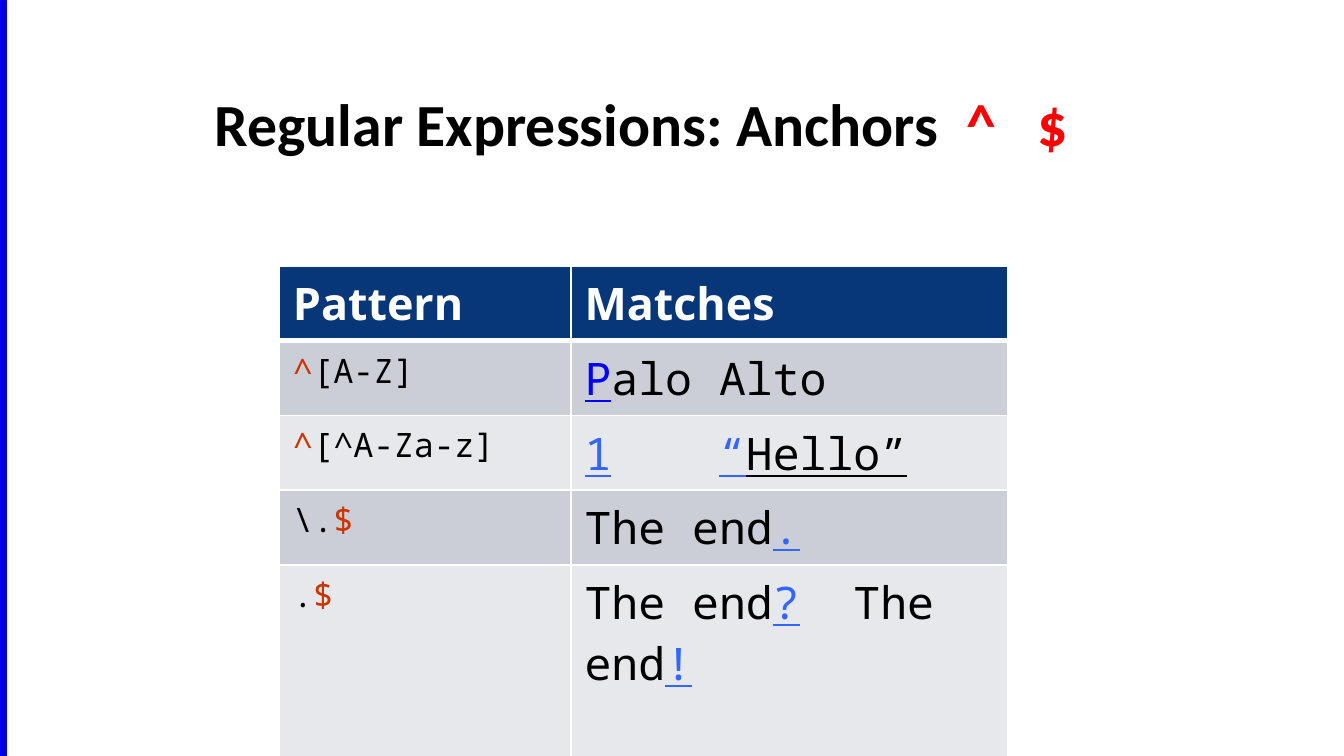
from dataclasses import dataclass

from lxml.etree import SubElement
from pptx import Presentation
from pptx.dml.color import RGBColor
from pptx.enum.shapes import MSO_SHAPE
from pptx.enum.text import MSO_ANCHOR
from pptx.oxml.ns import qn
from pptx.util import Inches, Pt

WIDE = 10
HIGH = WIDE * 9 / 16


@dataclass(frozen=True)
class Theme:
    black: str = "000000"
    white: str = "FFFFFF"
    red: str = "FF0000"
    rust: str = "CC3300"
    blue: str = "0000FF"
    sky: str = "3366FF"
    bar: str = "0000C9"
    head: str = "073779"
    bands: tuple = ("CCCED7", "E7E8EC")
    sans: str = "Open Sans"
    mono: str = "Noto Sans Mono"
    title: str = "Calibri"
    big: int = 32
    mid: int = 24
    small: int = 18


@dataclass(frozen=True)
class Part:
    text: str
    color: str = Theme.black
    under: bool = False


@dataclass(frozen=True)
class Row:
    pattern: list
    match: list
    tabs: tuple = ()


def write(frame, parts: list, face: str, size: int,
          bold: bool = False, tabs: tuple = ()) -> None:
    """Fill the first paragraph with coloured parts; tabs are in inches."""
    para = frame.paragraphs[0]
    if tabs:
        stops = SubElement(para._p.get_or_add_pPr(), qn("a:tabLst"))
        for stop in tabs:
            SubElement(stops, qn("a:tab"), pos=str(Inches(stop)), algn="l")
    para.font.name = face
    para.font.size = Pt(size)
    para.font.bold = bold
    for part in parts:
        run = para.add_run()
        run.text = part.text
        run.font.color.rgb = RGBColor.from_string(part.color)
        if part.under:
            run.font.underline = True


def paint(cell, color: str, base: int = 1) -> None:
    """Fill a cell and give it white borders; base is the lower one."""
    props = cell._tc.get_or_add_tcPr()
    for side, width in (("L", 1), ("R", 1), ("T", 1), ("B", base)):
        line = SubElement(props, qn(f"a:ln{side}"), w=str(Pt(width)))
        fill = SubElement(line, qn("a:solidFill"))
        SubElement(fill, qn("a:srgbClr"), val=Theme.white)
    cell.fill.solid()
    cell.fill.fore_color.rgb = RGBColor.from_string(color)


def add_bar(slide) -> None:
    bar = slide.shapes.add_shape(
        MSO_SHAPE.RECTANGLE, 0, 0, Inches(0.05), Inches(HIGH))
    bar.shadow.inherit = False
    bar.fill.solid()
    bar.fill.fore_color.rgb = RGBColor.from_string(Theme.bar)
    bar.line.color.rgb = RGBColor.from_string(Theme.blue)
    bar.line.width = Pt(0.75)


def add_title(slide) -> None:
    box = slide.shapes.add_textbox(
        Inches(1.5), Inches(0.42), Inches(8.17), Inches(0.81))
    frame = box.text_frame
    frame.word_wrap = True
    frame.vertical_anchor = MSO_ANCHOR.BOTTOM
    parts = [Part("Regular Expressions: Anchors"), Part("\t^\t$", Theme.red)]
    write(frame, parts, Theme.title, Theme.big, True, (5.59, 6.12))


def add_grid(slide, rows: list) -> None:
    wide, tall, last = (2.17, 3.25), 5 / 9, 1.44
    count = len(rows) + 1
    grid = slide.shapes.add_table(
        count, 2, Inches(2.08), Inches(1.98),
        Inches(sum(wide)), Inches(tall * (count - 1) + last)).table
    for col, width in zip(grid.columns, wide):
        col.width = Inches(width)
    for line in grid.rows:
        line.height = Inches(tall)
    grid.rows[count - 1].height = Inches(last)

    # Header
    for col, label in enumerate(("Pattern", "Matches")):
        cell = grid.cell(0, col)
        paint(cell, Theme.head, 3)
        write(cell.text_frame, [Part(label, Theme.white)],
              Theme.sans, Theme.mid, True)

    # Body
    for num, row in enumerate(rows):
        left, right = grid.cell(num + 1, 0), grid.cell(num + 1, 1)
        for cell in (left, right):
            paint(cell, Theme.bands[num % 2], 1)
        write(left.text_frame, row.pattern, Theme.mono, Theme.small)
        write(right.text_frame, row.match, Theme.mono, Theme.mid,
              tabs=row.tabs)


ROWS = [
    Row([Part("^", Theme.rust), Part("[A-Z]")],
        [Part("P", Theme.blue, True), Part("alo Alto")]),
    Row([Part("^", Theme.rust), Part("[^A-Za-z]")],
        [Part("1", Theme.sky, True), Part("\t"),
         Part("“", Theme.sky, True), Part("Hello”", under=True)], (1,)),
    Row([Part("\\."), Part("$", Theme.rust)],
        [Part("The end"), Part(".", Theme.sky, True)]),
    Row([Part("."), Part("$", Theme.rust)],
        [Part("The end"), Part("?", Theme.sky, True),
         Part("\tThe end"), Part("!", Theme.sky, True)], (2,)),
]


def main() -> None:
    deck = Presentation()
    deck.slide_width, deck.slide_height = Inches(WIDE), Inches(HIGH)
    slide = deck.slides.add_slide(deck.slide_layouts[6])
    add_bar(slide)
    add_title(slide)
    add_grid(slide, ROWS)
    deck.save("out.pptx")


if __name__ == "__main__":
    main()
